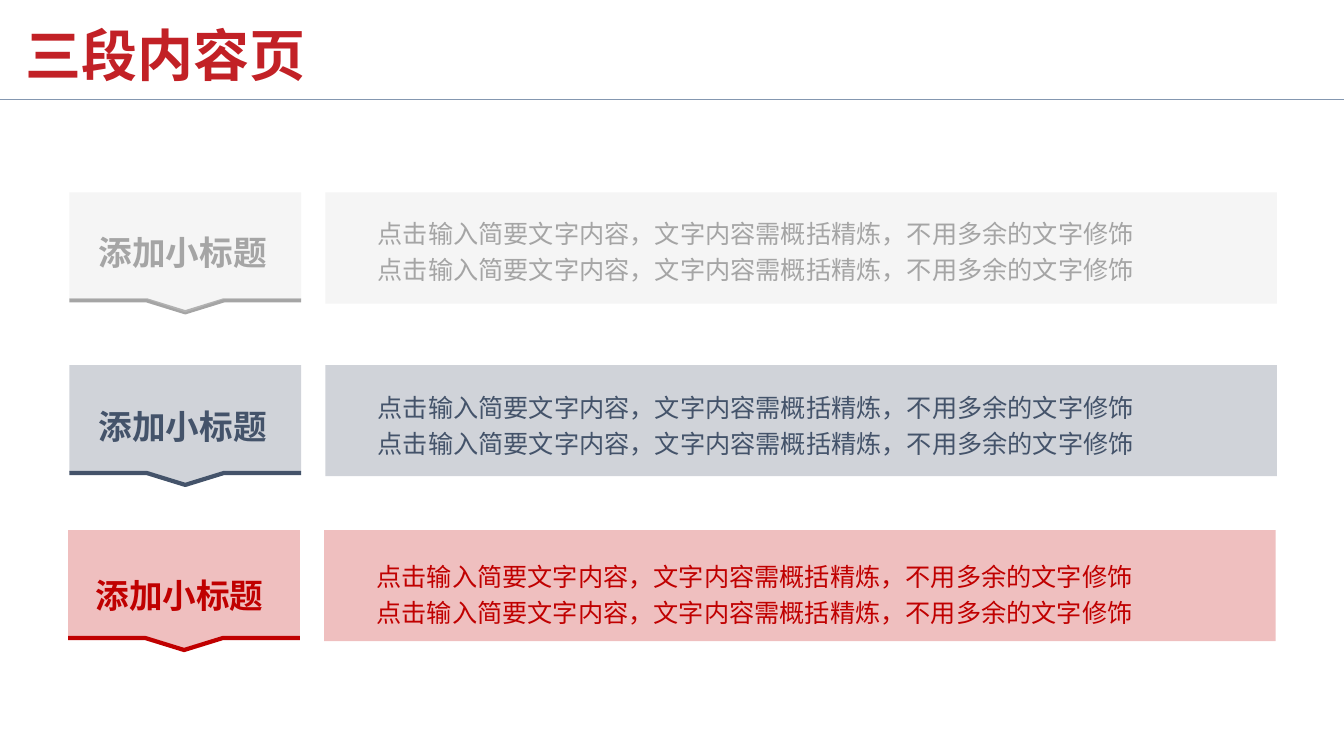
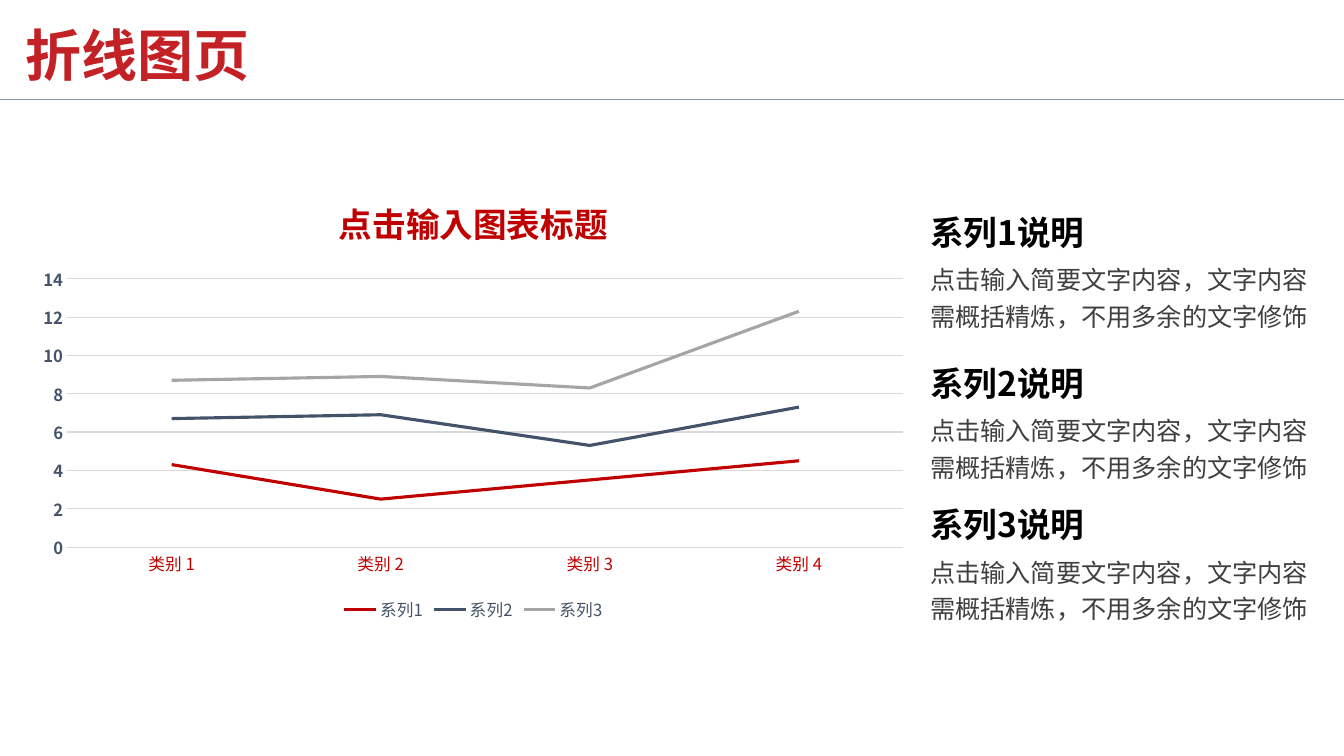
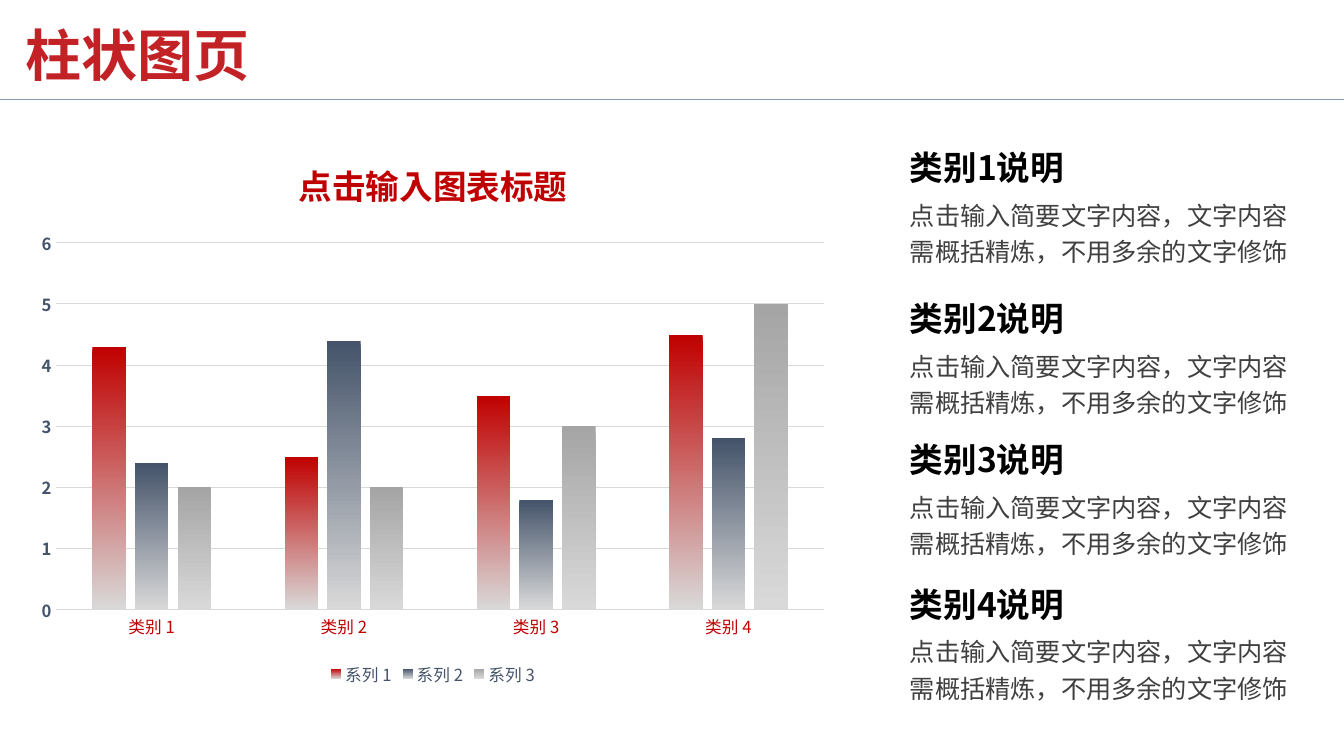
from dataclasses import dataclass

from lxml import etree
from pptx import Presentation
from pptx import util as u
from pptx.chart import data as chart_data
from pptx.dml.color import RGBColor
from pptx.enum import chart as charts, shapes, text
from pptx.oxml.ns import qn

Cm, Pt = u.Cm, u.Pt


@dataclass(frozen=True)
class Theme:
    face: str = "Noto Sans CJK JP"
    chart_face: str = "Noto Sans CJK SC"
    title: str = "C22126"
    rule: str = "8497B0"
    red: str = "C00000"
    navy: str = "44536A"
    gray: str = "A5A5A5"
    pale: str = "D9D9D9"
    black: str = "000000"
    body: str = "404040"
    title_size: float = 40
    heading_size: float = 24
    body_size: float = 18
    chart_size: float = 11.9

    @property
    def series(self):
        return self.red, self.navy, self.gray


SENTENCE = "点击输入简要文字内容，文字内容需概括精炼，不用多余的文字修饰"
CATEGORIES = [f"类别 {number}" for number in range(1, 5)]
VALUES = [(4.3, 2.5, 3.5, 4.5), (2.4, 4.4, 1.8, 2.8), (2, 2, 3, 5)]


def rgb(color):
    return RGBColor.from_string(color)


def style_font(font, face, size, color, bold=False):
    font.name = face
    font.size = Pt(size)
    font.bold = bold
    font.color.rgb = rgb(color)
    latin = font._rPr.find(qn("a:latin"))
    east_asian = etree.Element(qn("a:ea"), typeface=face)
    latin.addnext(east_asian)


def write(frame, lines, *, face, size, color, bold=False, spacing=None):
    for index, line in enumerate(lines.split("\n")):
        para = frame.add_paragraph() if index else frame.paragraphs[0]
        if spacing:
            para.line_spacing = spacing
        span = para.add_run()
        span.text = line
        style_font(span.font, face, size, color, bold)


class Deck:
    def __init__(self, theme):
        self.theme = theme
        self.deck = Presentation()
        self.deck.slide_width = Cm(33.87)
        self.deck.slide_height = Cm(19.05)
        self.page = None

    def add_page(self, title):
        self.page = self.deck.slides.add_slide(self.deck.slide_layouts[6])
        rule = self.page.shapes.add_connector(
            shapes.MSO_CONNECTOR.STRAIGHT, 0, Cm(2.51), self.deck.slide_width, Cm(2.51))
        rule.line.color.rgb = rgb(self.theme.rule)
        rule.line.width = Pt(0.5)
        etree.SubElement(rule._element.spPr, qn("a:effectLst"))
        box = self.page.shapes.add_textbox(Cm(0.64), Cm(0.28), Cm(7.54), Cm(1.96))
        frame = box.text_frame
        frame.word_wrap = True
        frame.vertical_anchor = text.MSO_ANCHOR.BOTTOM
        frame.margin_left = frame.margin_right = frame.margin_bottom = 0
        write(frame, title, face=self.theme.face, size=self.theme.title_size,
              color=self.theme.title, bold=True, spacing=0.9)

    def add_text(self, lines, left, top, width, height, holder=None, **style):
        holder = holder or self.page.shapes
        box = holder.add_textbox(Cm(left), Cm(top), Cm(width), Cm(height))
        box.text_frame.word_wrap = True
        box.text_frame.auto_size = text.MSO_AUTO_SIZE.SHAPE_TO_FIT_TEXT
        write(box.text_frame, lines, face=self.theme.face, spacing=1.2, **style)

    def add_heading(self, line, left, top, color, holder=None):
        self.add_text(line, left, top, 4.85, 1.37, holder,
                      size=self.theme.heading_size, color=color, bold=True)

    def add_body(self, lines, left, top, width, color, holder=None):
        self.add_text(lines, left, top, width, 2.01, holder,
                      size=self.theme.body_size, color=color)

    def tint(self, shape, color):
        shape.shadow.inherit = False
        shape.fill.solid()
        shape.fill.fore_color.rgb = rgb(color)
        shape.line.fill.background()
        paint = shape._element.spPr.find(qn("a:solidFill"))[0]
        etree.SubElement(paint, qn("a:alpha"), val="25000")

    def add_outline(self, points, close):
        start, *rest = [(Cm(x), Cm(y)) for x, y in points]
        builder = self.page.shapes.build_freeform(*start)
        builder.add_line_segments(rest, close=close)
        return builder.convert_to_shape()

    def add_tab(self, left, top, color, fill):
        width, shoulder = 5.84, 1.95
        right, tip = left + width, top + 3.02

        def chevron(y):
            return [(left, y), (left + shoulder, y), (left + width / 2, tip),
                    (right - shoulder, y), (right, y)]

        edge = self.add_outline(chevron(top + 2.72), False)
        edge.shadow.inherit = False
        edge.fill.background()
        edge.line.color.rgb = rgb(color)
        edge.line.width = Pt(3)
        panel = self.add_outline([(right, top), (left, top)] + chevron(top + 2.69), True)
        self.tint(panel, fill)

    def add_band(self, left, top, fill):
        band = self.page.shapes.add_shape(
            shapes.MSO_SHAPE.RECTANGLE, Cm(left), Cm(top), Cm(23.98), Cm(2.8))
        self.tint(band, fill)

    def add_notes_column(self, name, left, tops):
        for number, top in enumerate(tops, 1):
            group = self.page.shapes.add_group_shape().shapes
            self.add_heading(f"{name}{number}说明", left, top, self.theme.black, group)
            self.add_body(SENTENCE, left, top + 1.39, 10.29, self.theme.body, group)

    def add_chart(self, kind, names, left, top, width, height):
        theme = self.theme
        table = chart_data.CategoryChartData()
        table.categories = CATEGORIES
        for name, values in zip(names, VALUES):
            table.add_series(name, values)
        chart = self.page.shapes.add_chart(
            kind, Cm(left), Cm(top), Cm(width), Cm(height), table).chart
        style_font(chart.font, theme.chart_face, 10, theme.black)
        chart.has_title = True
        write(chart.chart_title.text_frame, "点击输入图表标题", face=theme.face,
              size=theme.heading_size, color=theme.red, bold=True)
        chart.has_legend = True
        chart.legend.position = charts.XL_LEGEND_POSITION.BOTTOM
        chart.legend.include_in_layout = False
        style_font(chart.legend.font, theme.chart_face, theme.chart_size, theme.navy)

        category, value = chart.category_axis, chart.value_axis
        for axis, color, bold in ((category, theme.red, False), (value, theme.navy, True)):
            axis.major_tick_mark = axis.minor_tick_mark = charts.XL_TICK_MARK.NONE
            style_font(axis.tick_labels.font, theme.chart_face, theme.chart_size, color, bold)
        value.format.line.fill.background()
        value.has_major_gridlines = True
        for line in (category.format.line, value.major_gridlines.format.line):
            line.color.rgb = rgb(theme.pale)
            line.width = Pt(0.75)
        chart.plots[0].vary_by_categories = False
        return chart.plots[0]

    def add_line_chart(self, *place):
        names = [f"系列{number}" for number in range(1, 4)]
        plot = self.add_chart(charts.XL_CHART_TYPE.LINE_STACKED, names, *place)
        for series, color in zip(plot.series, self.theme.series):
            series.smooth = False
            series.format.line.color.rgb = rgb(color)
            series.format.line.width = Pt(2.25)

    def add_column_chart(self, *place):
        names = [f"系列 {number}" for number in range(1, 4)]
        plot = self.add_chart(charts.XL_CHART_TYPE.COLUMN_CLUSTERED, names, *place)
        plot.gap_width = 219
        plot.overlap = -27
        for series, color in zip(plot.series, self.theme.series):
            series.invert_if_negative = False
            fill = series.format.fill
            fill.gradient()
            fill.gradient_angle = 270
            for stop, shade in zip(fill.gradient_stops, (color, self.theme.pale)):
                stop.color.rgb = rgb(shade)


def main():
    theme = Theme()
    deck = Deck(theme)

    deck.add_page("三段内容页")
    rows = [
        (1.75, 4.85, 2.24, 5.51, 5.23, theme.gray, theme.pale),
        (1.75, 9.2, 2.24, 9.91, 9.6, theme.navy, theme.navy),
        (1.72, 13.36, 2.16, 14.17, 13.87, theme.red, theme.red),
    ]
    for left, top, label_left, label_top, body_top, color, fill in rows:
        deck.add_band(left + 6.45, top, fill)
        deck.add_tab(left, top, color, fill)
        deck.add_heading("添加小标题", label_left, label_top, color)
        deck.add_body(f"{SENTENCE}\n{SENTENCE}", left + 7.52, body_top, 20.04, color)

    deck.add_page("折线图页")
    deck.add_line_chart(0.64, 4.39, 22.58, 11.38)
    deck.add_notes_column("系列", 23.19, (5, 8.81, 12.37))

    deck.add_page("柱状图页")
    deck.add_column_chart(0.64, 3.38, 20.55, 14.02)
    deck.add_notes_column("类别", 22.68, (3.38, 7.19, 10.74, 14.38))

    deck.deck.save("out.pptx")


if __name__ == "__main__":
    main()
